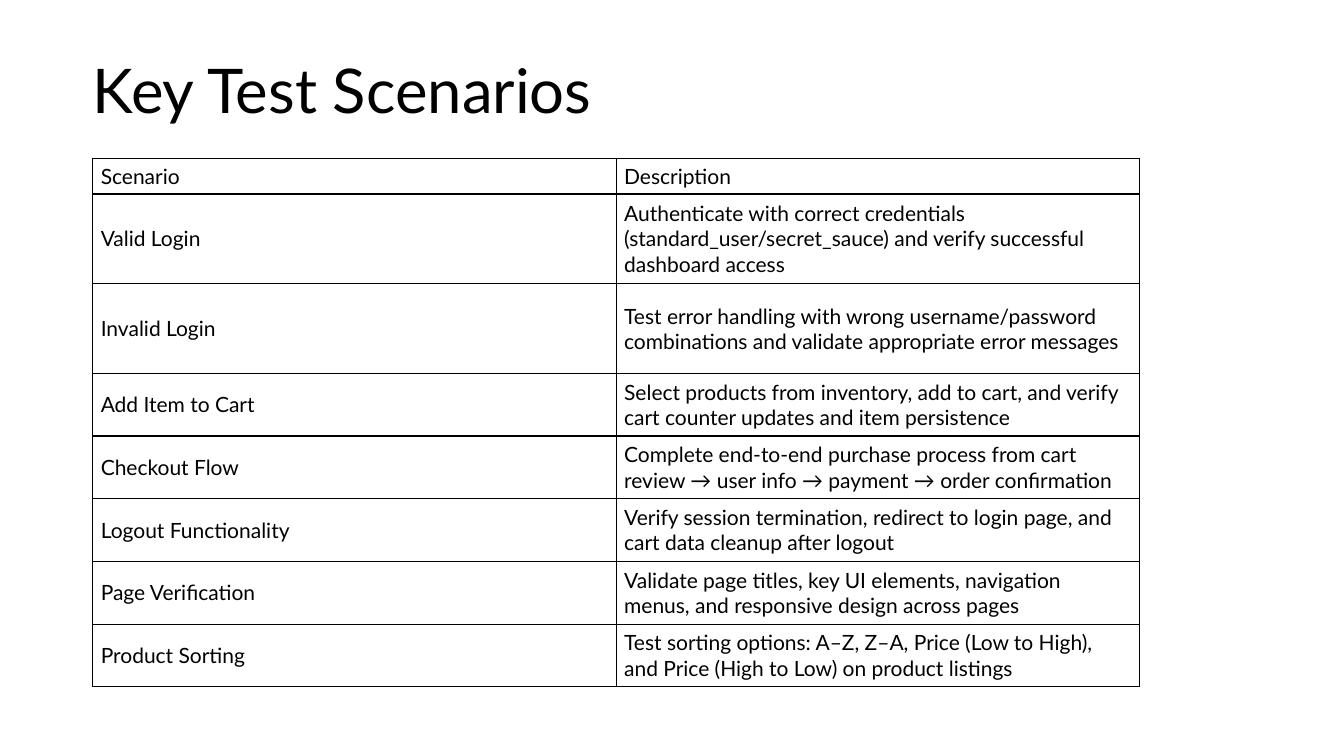
from dataclasses import dataclass

from lxml.etree import SubElement
from pptx import Presentation
from pptx.dml.color import RGBColor
from pptx.enum.text import MSO_ANCHOR, PP_ALIGN
from pptx.oxml.ns import qn
from pptx.slide import Slide
from pptx.table import _Cell
from pptx.text.text import TextFrame
from pptx.util import Cm, Pt

BLACK = RGBColor(0, 0, 0)
WHITE = RGBColor(255, 255, 255)
FONT = "Lato"


@dataclass(frozen=True)
class Case:
    name: str
    text: str
    high: float = 1.58


CASES = [
    Case("Scenario", "Description", 0.9),
    Case("Valid Login", "Authenticate with correct credentials (standard_user/secret_sauce) "
         "and verify successful dashboard access", 2.26),
    Case("Invalid Login", "Test error handling with wrong username/password combinations "
         "and validate appropriate error messages", 2.26),
    Case("Add Item to Cart", "Select products from inventory, add to cart, "
         "and verify cart counter updates and item persistence"),
    Case("Checkout Flow", "Complete end-to-end purchase process from cart review "
         "→ user info → payment → order confirmation"),
    Case("Logout Functionality", "Verify session termination, redirect to login page, "
         "and cart data cleanup after logout"),
    Case("Page Verification", "Validate page titles, key UI elements, navigation menus, "
         "and responsive design across pages"),
    Case("Product Sorting", "Test sorting options: A–Z, Z–A, Price (Low to High), "
         "and Price (High to Low) on product listings"),
]


def write(frame: TextFrame, text: str, size: float) -> None:
    part = frame.paragraphs[0]
    part.alignment = PP_ALIGN.LEFT
    run = part.add_run()
    run.text = text
    run.font.name = FONT
    run.font.size = Pt(size)
    run.font.bold = False
    run.font.color.rgb = BLACK


def frame_cell(cell: _Cell) -> None:
    props = cell._tc.get_or_add_tcPr()
    for spot, side in enumerate(("lnL", "lnR", "lnT", "lnB")):
        line = SubElement(props, qn(f"a:{side}"), w=str(Pt(1)))
        fill = SubElement(line, qn("a:solidFill"))
        SubElement(fill, qn("a:srgbClr"), val=str(BLACK))
        props.insert(spot, line)


def fill_cell(cell: _Cell, text: str) -> None:
    cell.fill.background()
    cell.vertical_anchor = MSO_ANCHOR.MIDDLE
    cell.margin_left = cell.margin_right = Cm(0.2)
    cell.margin_top = cell.margin_bottom = Cm(0.1)
    write(cell.text_frame, text, 15)
    frame_cell(cell)


def add_title(slide: Slide, text: str) -> None:
    title = slide.shapes.title
    title.left, title.top = Cm(2.08), Cm(0)
    title.width, title.height = Cm(29.46), Cm(4.7)
    frame = title.text_frame
    frame.word_wrap = True
    frame.vertical_anchor = MSO_ANCHOR.MIDDLE
    write(frame, text, 44)
    frame.paragraphs[0].line_spacing = 0.9


def add_grid(slide: Slide, cases: list[Case]) -> None:
    high = sum(case.high for case in cases)
    grid = slide.shapes.add_table(
        len(cases), 2, Cm(2.34), Cm(3.99), Cm(26.38), Cm(high)).table
    grid.first_row = grid.horz_banding = False
    for row, case in zip(grid.rows, cases):
        row.height = Cm(case.high)
        for cell, text in zip(row.cells, (case.name, case.text)):
            fill_cell(cell, text)


def main() -> None:
    """Build the slide of key test scenarios."""
    deck = Presentation()
    deck.slide_width, deck.slide_height = Cm(33.87), Cm(19.05)
    slide = deck.slides.add_slide(deck.slide_layouts[5])
    slide.background.fill.solid()
    slide.background.fill.fore_color.rgb = WHITE
    add_title(slide, "Key Test Scenarios")
    add_grid(slide, CASES)
    deck.save("out.pptx")


if __name__ == "__main__":
    main()
